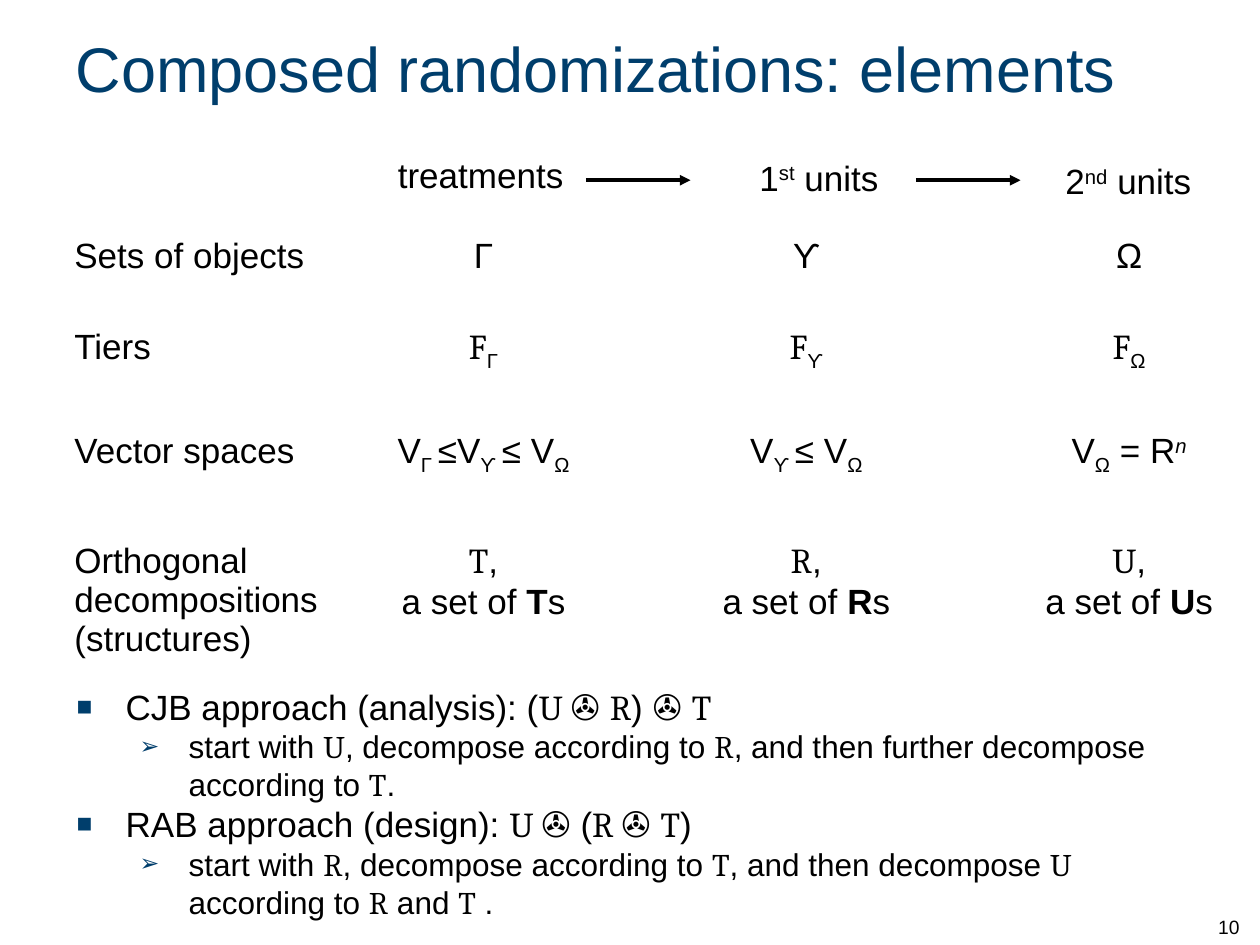
from dataclasses import dataclass

from lxml.etree import SubElement
from pptx import Presentation
from pptx.dml.color import RGBColor
from pptx.enum.shapes import MSO_CONNECTOR as Connector, MSO_SHAPE as Preset
from pptx.enum.text import MSO_ANCHOR as Anchor, MSO_AUTO_SIZE as AutoSize, PP_ALIGN as Align
from pptx.oxml.ns import qn
from pptx.util import Pt

COLORS = {"title": "003E6C", "text": "000000"}
BODY_FONT, MATH_FONT = "Arial", "Cambria"
COLUMN_WIDTHS = (170, 142, 42.5, 142, 42.5, 142)
TABLE_LEFT = 35.3


@dataclass(frozen=True)
class Span:
    text: str
    font: str = BODY_FONT
    baseline: int = 0
    bold: bool = False
    italic: bool = False


@dataclass(frozen=True)
class Row:
    top: float
    height: float
    label: str
    entries: tuple


@dataclass(frozen=True)
class Heading:
    left: float
    top: float
    width: float
    spans: tuple


@dataclass(frozen=True)
class Bullet:
    level: int
    spans: tuple


def math(text: str) -> Span:
    return Span(text, font=MATH_FONT)


def sub(text: str) -> Span:
    return Span(text, baseline=-25)


def sup(text: str, italic: bool = False) -> Span:
    return Span(text, baseline=30, italic=italic)


def structure(letter: str) -> tuple:
    return math(letter), Span(",\na set of "), Span(letter, bold=True), Span("s")


def plain(*parts) -> tuple:
    return tuple(Span(part) if isinstance(part, str) else part for part in parts)


ROWS = (
    Row(131.8, 42.5, "Sets of objects", (plain("Γ"), plain("ϒ"), plain("Ω"))),
    Row(183.6, 44, "Tiers", tuple((math("F"), sub(name)) for name in "ΓϒΩ")),
    Row(243.4, 42.5, "Vector spaces", (
        plain("V", sub("Γ "), "≤V", sub("ϒ "), "≤ V", sub("Ω")),
        plain("V", sub("ϒ "), "≤ V", sub("Ω")),
        plain("V", sub("Ω"), " = R", sup("n", italic=True)),
    )),
    Row(306, 79, "Orthogonal decompositions\n(structures)",
        tuple(structure(letter) for letter in "TRU")),
)

HEADINGS = (
    Heading(207.4, 69.8, 134.6, plain("treatments")),
    Heading(400.3, 71.3, 135.4, plain("1", sup("st"), " units")),
    Heading(574.6, 73.4, 140.4, plain("2", sup("nd"), " units")),
)

ARROW_STARTS = (334.8, 523.4)

BULLETS = (
    Bullet(0, plain("CJB approach (analysis): (", math("U "), "✇ ", math("R"), ") ✇ ", math("T"))),
    Bullet(1, plain("start with ", math("U"), ", decompose according to ", math("R"),
                    ", and then further decompose according to ", math("T"), ".")),
    Bullet(0, plain("RAB approach (design): ", math("U "), "✇ (", math("R "), "✇ ", math("T"), ")")),
    Bullet(1, plain("start with ", math("R"), ", decompose according to ", math("T"),
                    ", and then decompose ", math("U"), " according to ", math("R"),
                    " and ", math("T"), " .")),
)


def write(para, spans: tuple, size: float, align=Align.LEFT, color: str = "text") -> None:
    para.alignment = align
    for span in spans:
        for index, line in enumerate(span.text.split("\n")):
            if index:
                para.add_line_break()
            run = para.add_run()
            run.text = line
            font = run.font
            font.name, font.size = span.font, Pt(size)
            font.bold, font.italic = span.bold, span.italic
            font.color.rgb = RGBColor.from_string(COLORS[color])
            if span.baseline:
                run._r.get_or_add_rPr().set("baseline", str(span.baseline * 1000))


def add_row(slide, row: Row) -> None:
    table = slide.shapes.add_table(1, len(COLUMN_WIDTHS), Pt(TABLE_LEFT), Pt(row.top),
                                   Pt(sum(COLUMN_WIDTHS)), Pt(row.height)).table
    table.first_row = table.horz_banding = False
    for column, width in zip(table.columns, COLUMN_WIDTHS):
        column.width = Pt(width)
    for cell in table.iter_cells():
        cell.fill.background()
    write(table.cell(0, 0).text_frame.paragraphs[0], plain(row.label), 20)
    for column, spans in zip((1, 3, 5), row.entries):
        write(table.cell(0, column).text_frame.paragraphs[0], spans, 20, Align.CENTER)


def add_heading(slide, heading: Heading) -> None:
    box = slide.shapes.add_shape(Preset.ROUNDED_RECTANGLE, Pt(heading.left), Pt(heading.top),
                                 Pt(heading.width), Pt(59.8))
    box.shadow.inherit = False
    box.fill.background()
    box.line.fill.background()
    frame = box.text_frame
    frame.word_wrap = False
    frame.vertical_anchor = Anchor.MIDDLE
    write(frame.paragraphs[0], heading.spans, 20, Align.CENTER)


def add_arrow(slide, start: float) -> None:
    arrow = slide.shapes.add_connector(Connector.STRAIGHT, Pt(start), Pt(103),
                                       Pt(start + 59.8), Pt(103))
    arrow.line.width = Pt(2)
    arrow.line.color.rgb = RGBColor.from_string(COLORS["text"])
    SubElement(arrow.line._get_or_add_ln(), qn("a:tailEnd"), type="triangle")
    SubElement(arrow._element.spPr, qn("a:effectLst"))


def add_bullet(para, bullet: Bullet) -> None:
    para.level = bullet.level
    write(para, bullet.spans, 18 if bullet.level else 20)
    properties = para._p.get_or_add_pPr()
    properties.set("marL", str(Pt(28 + 36 * bullet.level)))
    properties.set("indent", str(-Pt(28)))
    color = SubElement(properties, qn("a:buClr"))
    SubElement(color, qn("a:srgbClr"), val=COLORS["title"])
    SubElement(properties, qn("a:buSzPct"), val="75000")
    SubElement(properties, qn("a:buFont"), typeface=BODY_FONT)
    SubElement(properties, qn("a:buChar"), char="■➢"[bullet.level])


def add_text_box(slide, left: float, top: float, width: float, height: float):
    frame = slide.shapes.add_textbox(Pt(left), Pt(top), Pt(width), Pt(height)).text_frame
    frame.word_wrap = True
    return frame


def main() -> None:
    deck = Presentation()
    deck.slide_width, deck.slide_height = Pt(720), Pt(540)
    page = deck.slides.add_slide(deck.slide_layouts[5])

    title = page.shapes.title
    title.left, title.top, title.width, title.height = Pt(36), Pt(5.8), Pt(648), Pt(64.8)
    title.text_frame.auto_size = AutoSize.NONE
    title.text_frame.vertical_anchor = Anchor.MIDDLE
    write(title.text_frame.paragraphs[0], plain("Composed randomizations: elements"), 36, color="title")

    for row in ROWS:
        add_row(page, row)
    for heading in HEADINGS:
        add_heading(page, heading)
    for start in ARROW_STARTS:
        add_arrow(page, start)

    frame = add_text_box(page, 36.7, 388, 664.6, 143.3)
    for index, bullet in enumerate(BULLETS):
        add_bullet(frame.add_paragraph() if index else frame.paragraphs[0], bullet)

    number = add_text_box(page, 689, 504, 30.2, 36)
    number.vertical_anchor = Anchor.BOTTOM
    write(number.paragraphs[0], plain("10"), 11)

    deck.save("out.pptx")


if __name__ == "__main__":
    main()
